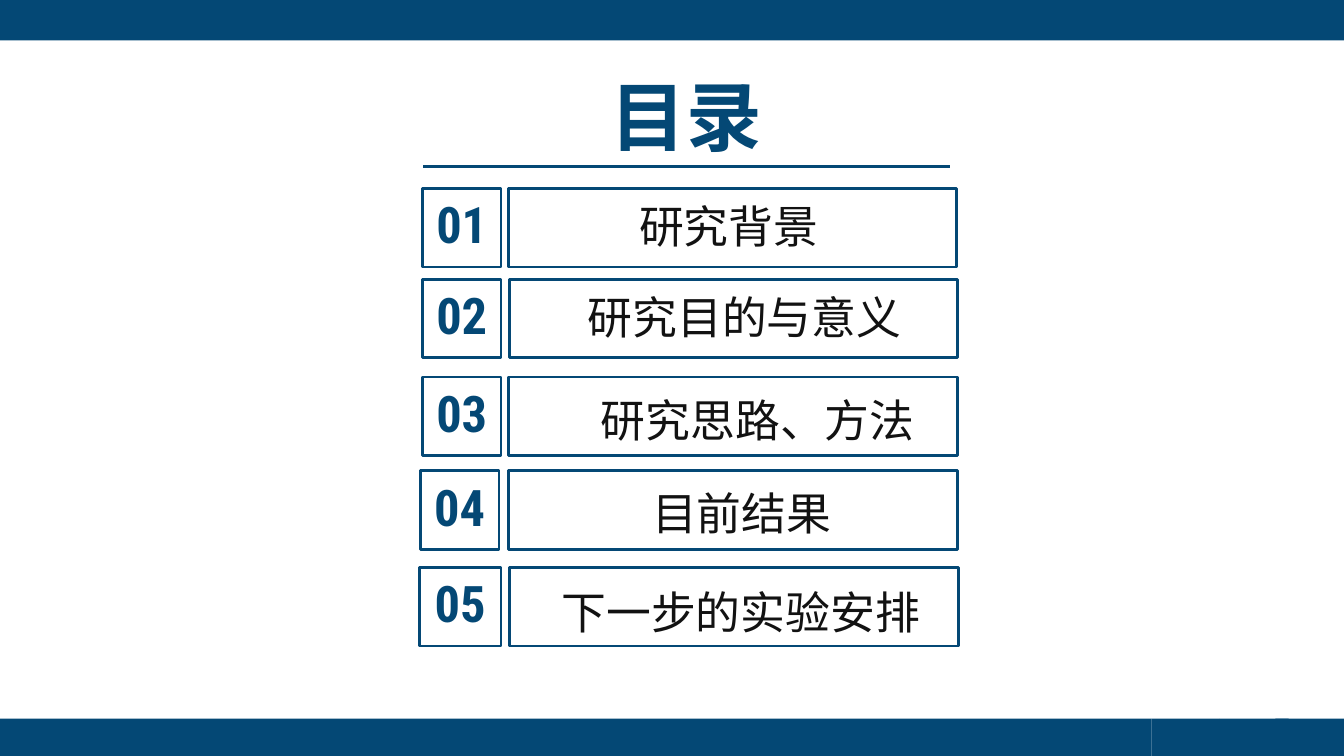
from lxml import etree
from pptx import Presentation
from pptx.dml.color import RGBColor
from pptx.enum import shapes, text
from pptx.oxml.ns import qn
from pptx.util import Inches, Pt

TITLE = "目录"
# number, topic, row top, number box (left, width), topic box (left, width), topic text (left, top, width)
ENTRIES = [
    ("01", "研究背景", 1.87, (4.19, 0.78), (5.04, 4.45), (6.24, 1.92, 2.0)),
    ("02", "研究目的与意义", 2.77, (4.19, 0.78), (5.05, 4.45), (5.73, 2.83, 3.34)),
    ("03", "研究思路、方法", 3.74, (4.19, 0.78), (5.04, 4.46), (5.86, 3.85, 3.34)),
    ("04", "目前结果", 4.67, (4.17, 0.78), (5.04, 4.46), (6.37, 4.77, 2.0)),
    ("05", "下一步的实验安排", 5.63, (4.16, 0.81), (5.05, 4.46), (5.47, 5.75, 3.79)),
]
TOP_BAND = (0, -0.01, 13.33, 0.41)
FOOTER_TOP, FOOTER_HEIGHT = 7.13, 0.37
FOOTER_PARTS = [(0, 11.42), (11.42, 0.68), (12.1, 0.68), (12.65, 0.68)]
ROW_HEIGHT = 0.78
NUMBER_OVERHANG = 0.11

NAVY, INK = RGBColor.from_string("044875"), RGBColor.from_string("121212")
THEME = {
    "line": Pt(2),
    "title": {"name": "Calibri", "size": Pt(54), "bold": True, "color": NAVY},
    "number": {"name": "Roboto Condensed", "size": Pt(36), "bold": True, "color": NAVY},
    "topic": {"name": "Noto Sans CJK SC", "size": Pt(32), "bold": False, "color": INK},
}


def add_rect(parent, place, filled):
    box = parent.add_shape(shapes.MSO_SHAPE.RECTANGLE, *map(Inches, place))
    box.shadow.inherit = False
    if filled:
        box.fill.solid()
        box.fill.fore_color.rgb = NAVY
        box.line.fill.background()
    else:
        box.fill.background()
        box.line.color.rgb = NAVY
        box.line.width = THEME["line"]


def add_text(parent, place, words, style, align, wrap=True):
    frame = parent.add_textbox(*map(Inches, place)).text_frame
    frame.word_wrap = wrap
    frame.auto_size = text.MSO_AUTO_SIZE.SHAPE_TO_FIT_TEXT
    para = frame.paragraphs[0]
    para.alignment = align
    span = para.add_run()
    span.text = words
    for key, value in THEME[style].items():
        if key == "color":
            span.font.color.rgb = value
        else:
            setattr(span.font, key, value)
    if style == "topic":
        east_asian = etree.SubElement(span.font._element, qn("a:ea"))
        east_asian.set("typeface", THEME[style]["name"])


def add_entry(page, number, topic, top, number_box, topic_box, topic_text):
    row = page.shapes.add_group_shape().shapes
    for left, width in (topic_box, number_box):
        add_rect(row, (left, top, width, ROW_HEIGHT), filled=False)
    left, width = number_box
    add_text(row, (left - NUMBER_OVERHANG, top, width + 2 * NUMBER_OVERHANG, 0.71),
             number, "number", text.PP_ALIGN.CENTER)
    left, text_top, width = topic_text
    add_text(page.shapes, (left, text_top, width, 0.64),
             topic, "topic", text.PP_ALIGN.LEFT, wrap=False)


def main():
    deck = Presentation()
    deck.slide_width, deck.slide_height = Inches(13.33), Inches(7.5)
    page = deck.slides.add_slide(deck.slide_layouts[6])

    add_rect(page.shapes, TOP_BAND, filled=True)
    for left, width in FOOTER_PARTS:
        add_rect(page.shapes, (left, FOOTER_TOP, width, FOOTER_HEIGHT), filled=True)

    add_text(page.shapes, (3.15, 0.64, 7.31, 1.01), TITLE, "title", text.PP_ALIGN.CENTER)
    rule = page.shapes.add_connector(
        shapes.MSO_CONNECTOR.STRAIGHT, *map(Inches, (4.2, 1.65, 9.42, 1.65)))
    rule.line.color.rgb = NAVY
    rule.line.width = THEME["line"]
    etree.SubElement(rule._element.spPr, qn("a:effectLst"))

    for entry in ENTRIES:
        add_entry(page, *entry)
    deck.save("out.pptx")


if __name__ == "__main__":
    main()
